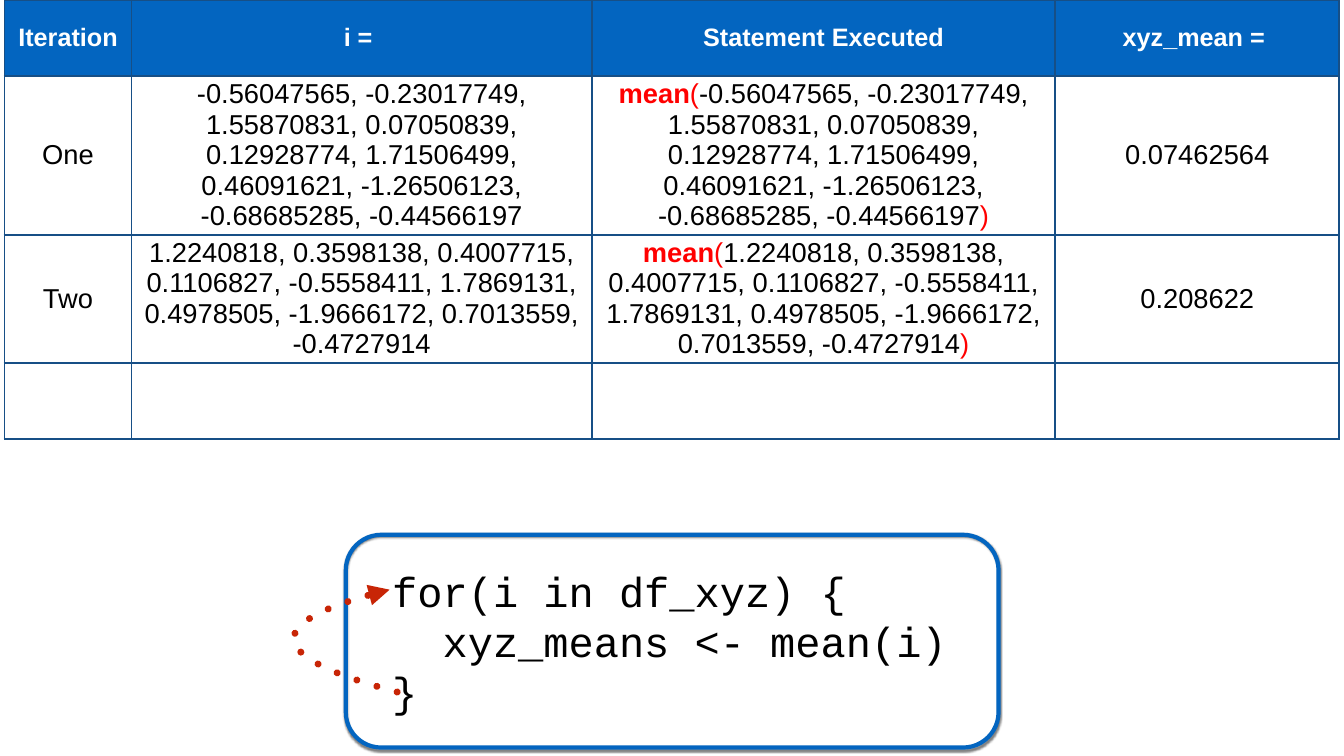
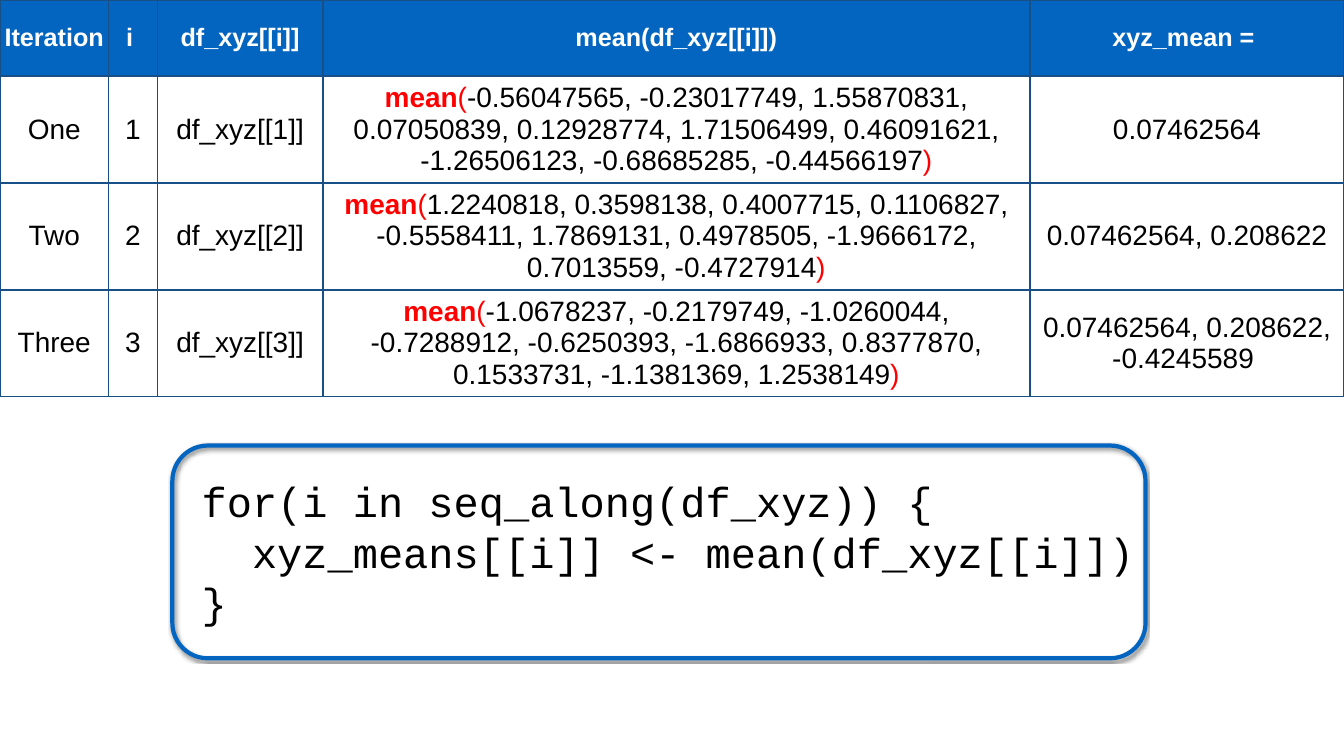
from pptx import Presentation
from pptx.dml.color import RGBColor
from pptx.enum.shapes import MSO_SHAPE as Shape
from pptx.enum.text import MSO_ANCHOR as Anchor, MSO_AUTO_SIZE as AutoSize, PP_ALIGN as Align
from pptx.oxml import parse_xml
from pptx.oxml.ns import nsdecls
from pptx.util import Pt

# Colours, fonts and shared measures
BLUE = RGBColor(0x03, 0x65, 0xC0)
BORDER = RGBColor(0x17, 0x4F, 0x86)
RED = RGBColor(0xFF, 0x00, 0x00)
ARROW_RED = RGBColor(0xC8, 0x25, 0x06)
BLACK = RGBColor(0x00, 0x00, 0x00)
WHITE = RGBColor(0xFF, 0xFF, 0xFF)
BODY_FONT, CODE_FONT = "Arial", "Courier New"
SLIDE_W, SLIDE_H = 1920, 1080
ROW_H = 108.75
INSET = 4.3
HEADER_SIZE, CODE_SIZE = 36, 60

# Values of the three data frame columns
X = ("-0.56047565, -0.23017749, 1.55870831, 0.07050839, 0.12928774, "
     "1.71506499, 0.46091621, -1.26506123, -0.68685285, -0.44566197")
Y = ("1.2240818, 0.3598138, 0.4007715, 0.1106827, -0.5558411, "
     "1.7869131, 0.4978505, -1.9666172, 0.7013559, -0.4727914")
Z = ("-1.0678237, -0.2179749, -1.0260044, -0.7288912, -0.6250393, "
     "-1.6866933, 0.8377870, 0.1533731, -1.1381369, 1.2538149")
MEAN_X, MEAN_Y, MEAN_Z = "0.07462564", "0.208622", "-0.4245589"


def mean_call(values):
    """Runs of a highlighted mean() call: text, colour, bold."""
    return [("mean", RED, True), ("(", RED, False),
            (values, BLACK, False), (")", RED, False)]


def xml(tag, attrs="", body=""):
    return parse_xml(f'<a:{tag} {nsdecls("a")} {attrs}>{body}</a:{tag}>')


class Deck:
    def __init__(self):
        self.prs = Presentation()
        self.prs.slide_width, self.prs.slide_height = Pt(SLIDE_W), Pt(SLIDE_H)
        self.s = None

    def add_slide(self):
        self.s = self.prs.slides.add_slide(self.prs.slide_layouts[6])

    def run(self, p, text, size, font, color, bold=False):
        r = p.add_run()
        r.text = text
        r.font.size, r.font.name, r.font.bold = Pt(size), font, bold
        r.font.color.rgb = color

    def insets(self, box):
        box.margin_left = box.margin_right = Pt(INSET)
        box.margin_top = box.margin_bottom = Pt(INSET)

    def cell(self, cell, content, size, header):
        cell.fill.solid()
        cell.fill.fore_color.rgb = BLUE if header else WHITE
        cell.vertical_anchor = Anchor.MIDDLE
        self.insets(cell)
        line = f'<a:solidFill><a:srgbClr val="{BORDER}"/></a:solidFill>'
        tc_pr = cell._tc.get_or_add_tcPr()
        for n, side in enumerate("LRTB"):
            tc_pr.insert(n, xml(f"ln{side}", f'w="{Pt(3)}"', line))
        if isinstance(content, str):
            content = [(content, WHITE if header else BLACK, header)]
        p = cell.text_frame.paragraphs[0]
        p.alignment = Align.CENTER
        for text, color, bold in content:
            if text:
                self.run(p, text, size, BODY_FONT, color, bold)

    def table(self, left, height, widths, rows, size):
        frame = self.s.shapes.add_table(len(rows), len(widths), Pt(left), Pt(0),
                                        Pt(sum(widths)), Pt(height))
        table = frame.table
        table.horz_banding = False
        for column, width in zip(table.columns, widths):
            column.width = Pt(width)
        for i, row in enumerate(rows):
            table.rows[i].height = Pt(ROW_H)
            for j, content in enumerate(row):
                self.cell(table.cell(i, j), content,
                          size if i else HEADER_SIZE, header=i == 0)
        frame.height = Pt(height)

    def code(self, left, top, width, lines):
        sp = self.s.shapes.add_textbox(Pt(left), Pt(top), Pt(width), Pt(226))
        tf = sp.text_frame
        tf.word_wrap = False
        tf.auto_size = AutoSize.SHAPE_TO_FIT_TEXT
        self.insets(tf)
        for i, line in enumerate(lines):
            p = tf.add_paragraph() if i else tf.paragraphs[0]
            self.run(p, line, CODE_SIZE, CODE_FONT, BLACK)

    def frame(self, left, top, width):
        sp = self.s.shapes.add_shape(Shape.ROUNDED_RECTANGLE, Pt(left), Pt(top),
                                     Pt(width), Pt(304))
        sp.fill.background()
        sp.line.color.rgb, sp.line.width = BLUE, Pt(6)
        shadow = (f'<a:outerShdw blurRad="{Pt(3)}" dist="{Pt(2)}" dir="5400000" '
                  f'rotWithShape="0"><a:srgbClr val="{BLACK}">'
                  '<a:alpha val="50000"/></a:srgbClr></a:outerShdw>')
        sp._element.spPr.append(xml("effectLst", body=shadow))

    def loop_arrow(self, start, control1, control2, end, steps=32):
        def point(t):
            u = 1 - t
            return tuple(Pt(u**3 * a + 3 * u * u * t * b + 3 * u * t * t * c + t**3 * d)
                         for a, b, c, d in zip(start, control1, control2, end))

        points = [point(n / steps) for n in range(steps + 1)]
        builder = self.s.shapes.build_freeform(*points[0])
        builder.add_line_segments(points[1:], close=False)
        sp = builder.convert_to_shape()
        sp.shadow.inherit = False
        sp.fill.background()
        sp.line.color.rgb, sp.line.width = ARROW_RED, Pt(10)
        # Round dots and an arrowhead
        ln = sp.line._get_or_add_ln()
        ln.set("cap", "rnd")
        ln.append(xml("custDash", body='<a:ds d="100000" sp="200000"/>'))
        ln.append(xml("round"))
        ln.append(xml("tailEnd", 'type="triangle"'))


def main():
    deck = Deck()

    # Loop over the columns themselves
    deck.add_slide()
    deck.table(6.5, 654, [181.4, 657.4, 662.4, 405.4], [
        ["Iteration", "i = ", "Statement Executed", "xyz_mean = "],
        ["One", X, mean_call(X), MEAN_X],
        ["Two", Y, mean_call(Y), MEAN_Y],
        [""] * 4,
    ], size=39)
    deck.code(556, 803, 808, ["for(i in df_xyz) {", "  xyz_means <- mean(i)", "}"])
    deck.frame(494, 764, 932.5)
    deck.loop_arrow((567.4, 988.6), (374.4, 937.4), (370.8, 888.5), (556.6, 842.4))

    # Loop over the column positions
    deck.add_slide()
    means = [MEAN_X, MEAN_Y, MEAN_Z + " "]
    rows = [["Iteration", "i ", "df_xyz[[i]]", "mean(df_xyz[[i]])", "xyz_mean = "]]
    for i, (name, values) in enumerate(zip(["One", "Two", "Three"], [X, Y, Z]), 1):
        rows.append([name, str(i), f"df_xyz[[{i}]]", mean_call(values),
                     ", ".join(means[:i])])
    deck.table(0, 564.5, [155, 70, 236, 1010.2, 448.8], rows, size=40)
    deck.code(283.7, 675.4, 1353, ["for(i in seq_along(df_xyz)) {",
                                   "  xyz_means[[i]] <- mean(df_xyz[[i]])", "}"])
    deck.frame(246.2, 636.5, 1390.3)

    deck.prs.save("out.pptx")


if __name__ == "__main__":
    main()
